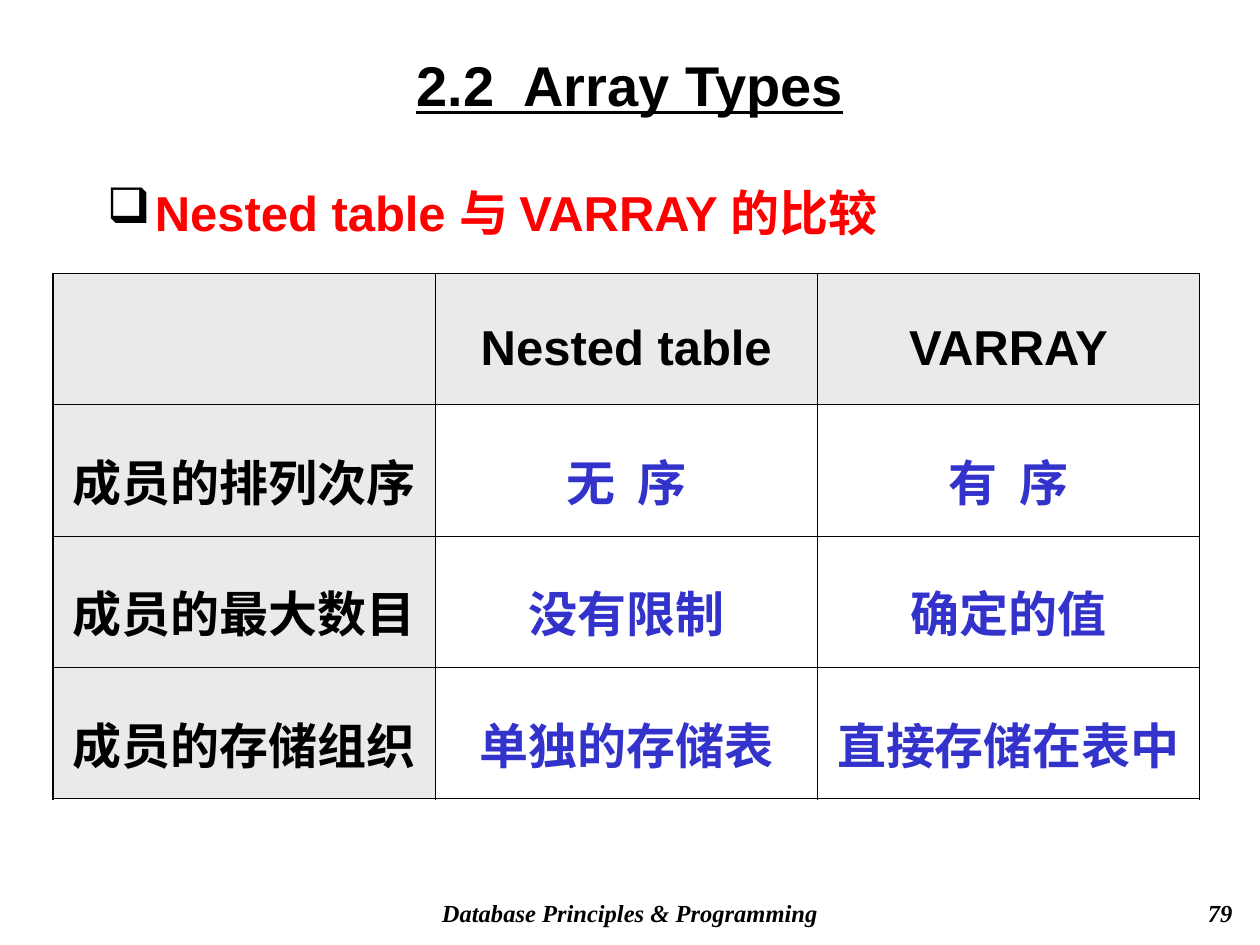
from dataclasses import dataclass

from lxml import etree
from pptx import Presentation
from pptx.dml.color import RGBColor
from pptx.enum import text
from pptx.oxml import ns
from pptx.util import Inches, Pt


@dataclass(frozen=True)
class Theme:
    ink: str = "000000"
    accent: str = "FF0000"
    value: str = "3333CC"
    header_fill: str = "EAEAEA"
    body_fill: str = "FFFFFF"
    sans: str = "Arial"
    serif: str = "Times New Roman"
    title_size: int = 32
    body_size: int = 28
    footer_size: int = 14
    inner_line: float = 0.45
    outer_line: float = 1.08
    line_spacing: float = 1.1


@dataclass(frozen=True)
class Box:
    left: float
    top: float
    width: float
    height: float

    def lengths(self) -> tuple:
        return tuple(Inches(n) for n in (self.left, self.top, self.width, self.height))


@dataclass(frozen=True)
class FooterItem:
    wording: str
    box: Box
    align: text.PP_ALIGN


THEME = Theme()
CENTER = text.PP_ALIGN.CENTER
TITLE_BOX = Box(0.75, 0.33, 8.5, 0.67)
TOPIC_BOX = Box(0.75, 1.25, 8.42, 5.75)
TABLE_BOX = Box(0.42, 2.17, 9.1, 4.17)
FOOTER = (
    FooterItem("Database Principles & Programming", Box(2.75, 7.08, 4.5, 0.33), CENTER),
    FooterItem("79", Box(7.8, 7.08, 2.08, 0.33), text.PP_ALIGN.RIGHT),
)
COMPARISON = (
    ("", "Nested table", "VARRAY"),
    ("成员的排列次序", "无  序", "有  序"),
    ("成员的最大数目", "没有限制", "确定的值"),
    ("成员的存储组织", "单独的存储表", "直接存储在表中"),
)


def write(frame, wording: str, *, size: int, color: str = THEME.ink,
          font: str = THEME.sans, align=None, italic: bool = False,
          underline: bool = False, spacing: float = 1.0, bullet: str = "") -> None:
    paragraph = frame.paragraphs[0]
    paragraph.alignment = align
    paragraph.line_spacing = spacing
    if bullet:
        add_bullet(paragraph, bullet)
    run = paragraph.add_run()
    run.text = wording
    run.font.name = font
    run.font.size = Pt(size)
    run.font.bold = True
    run.font.italic = italic
    run.font.underline = underline
    run.font.color.rgb = RGBColor.from_string(color)


def add_bullet(paragraph, mark: str) -> None:
    properties = paragraph._p.get_or_add_pPr()
    properties.set("marL", str(Inches(0.38)))
    properties.set("indent", str(-Inches(0.38)))
    color = etree.SubElement(properties, ns.qn("a:buClr"))
    etree.SubElement(color, ns.qn("a:srgbClr"), val=THEME.ink)
    etree.SubElement(properties, ns.qn("a:buChar"), char=mark)


def set_insets(frame, top: float, bottom: float) -> None:
    frame.margin_left = frame.margin_right = Inches(0.1)
    frame.margin_top = Inches(top)
    frame.margin_bottom = Inches(bottom)


def add_text_box(slide, box: Box, top_inset: float = 0.05):
    frame = slide.shapes.add_textbox(*box.lengths()).text_frame
    frame.word_wrap = True
    set_insets(frame, top_inset, 0.05)
    return frame


def set_borders(cell, outer_sides: dict[str, bool]) -> None:
    properties = cell._tc.get_or_add_tcPr()
    for position, (side, is_outer) in enumerate(outer_sides.items()):
        width = THEME.outer_line if is_outer else THEME.inner_line
        line = etree.Element(ns.qn(f"a:{side}"), w=str(Pt(width)))
        fill = etree.SubElement(line, ns.qn("a:solidFill"))
        etree.SubElement(fill, ns.qn("a:srgbClr"), val=THEME.ink)
        properties.insert(position, line)


def add_comparison(slide, rows: tuple, box: Box) -> None:
    last_row, last_column = len(rows) - 1, len(rows[0]) - 1
    table = slide.shapes.add_table(len(rows), len(rows[0]), *box.lengths()).table
    for r, row in enumerate(rows):
        for c, wording in enumerate(row):
            cell = table.cell(r, c)
            is_header = r == 0 or c == 0
            cell.fill.solid()
            cell.fill.fore_color.rgb = RGBColor.from_string(
                THEME.header_fill if is_header else THEME.body_fill)
            cell.vertical_anchor = text.MSO_ANCHOR.MIDDLE
            set_insets(cell, 0.15, 0.05)
            set_borders(cell, {"lnL": c == 0, "lnR": c == last_column,
                               "lnT": r == 0, "lnB": r == last_row})
            if wording:
                write(cell.text_frame, wording, size=THEME.body_size, align=CENTER,
                      color=THEME.ink if is_header else THEME.value,
                      spacing=THEME.line_spacing)


def main() -> None:
    deck = Presentation()
    deck.slide_width, deck.slide_height = Inches(10), Inches(7.5)
    slide = deck.slides.add_slide(deck.slide_layouts[5])

    for item in FOOTER:
        write(add_text_box(slide, item.box), item.wording, size=THEME.footer_size,
              font=THEME.serif, align=item.align, italic=True)

    title = slide.shapes.title
    title.left, title.top, title.width, title.height = TITLE_BOX.lengths()
    title.text_frame.vertical_anchor = text.MSO_ANCHOR.MIDDLE
    set_insets(title.text_frame, 0, 0)
    write(title.text_frame, "2.2  Array Types", size=THEME.title_size,
          align=CENTER, underline=True)

    write(add_text_box(slide, TOPIC_BOX, top_inset=0.15),
          "Nested table 与 VARRAY 的比较", size=THEME.body_size,
          color=THEME.accent, spacing=THEME.line_spacing, bullet="❑")

    add_comparison(slide, COMPARISON, TABLE_BOX)
    deck.save("out.pptx")


if __name__ == "__main__":
    main()
